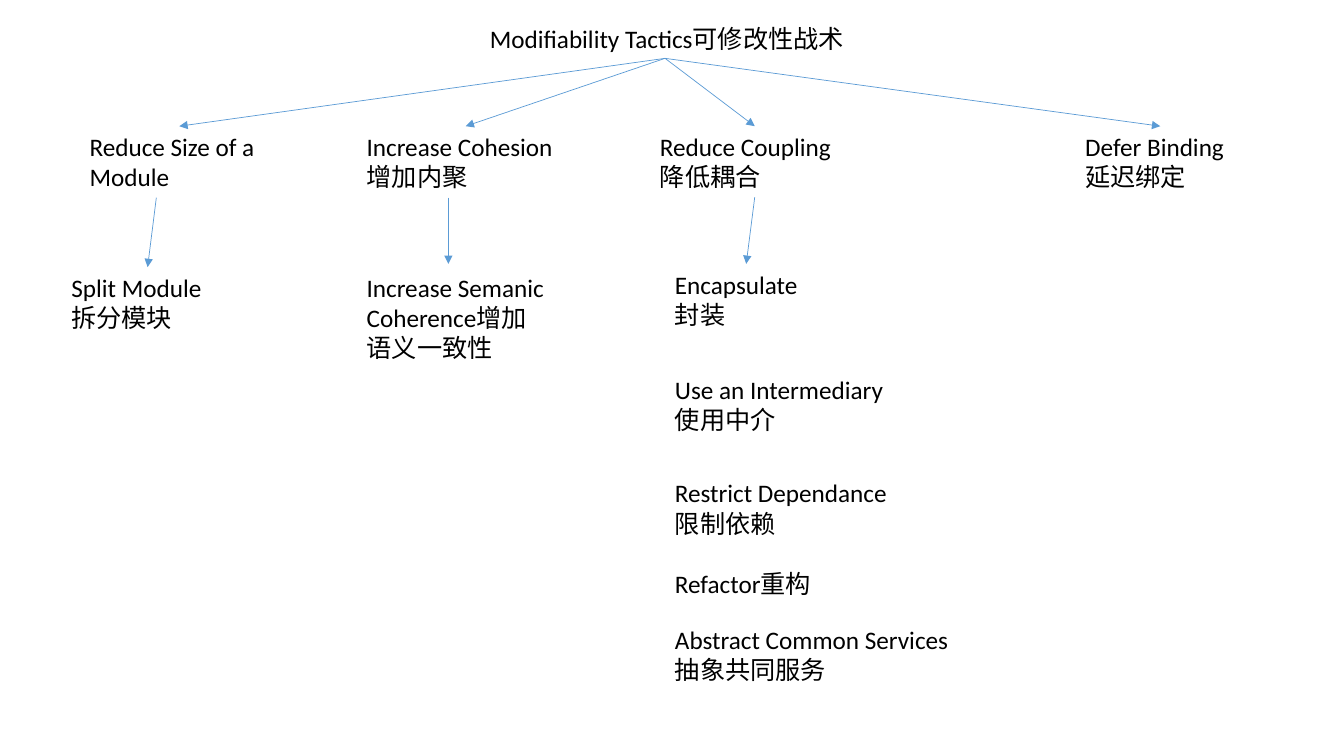
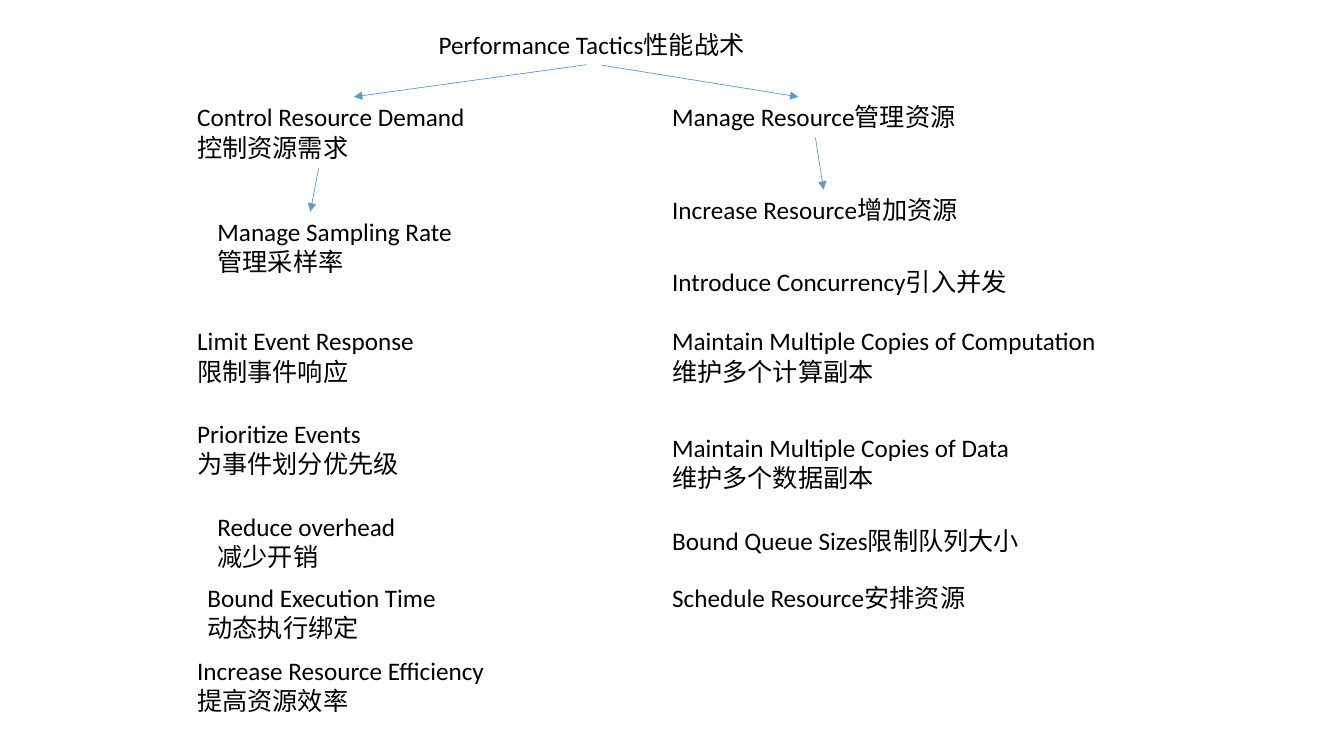
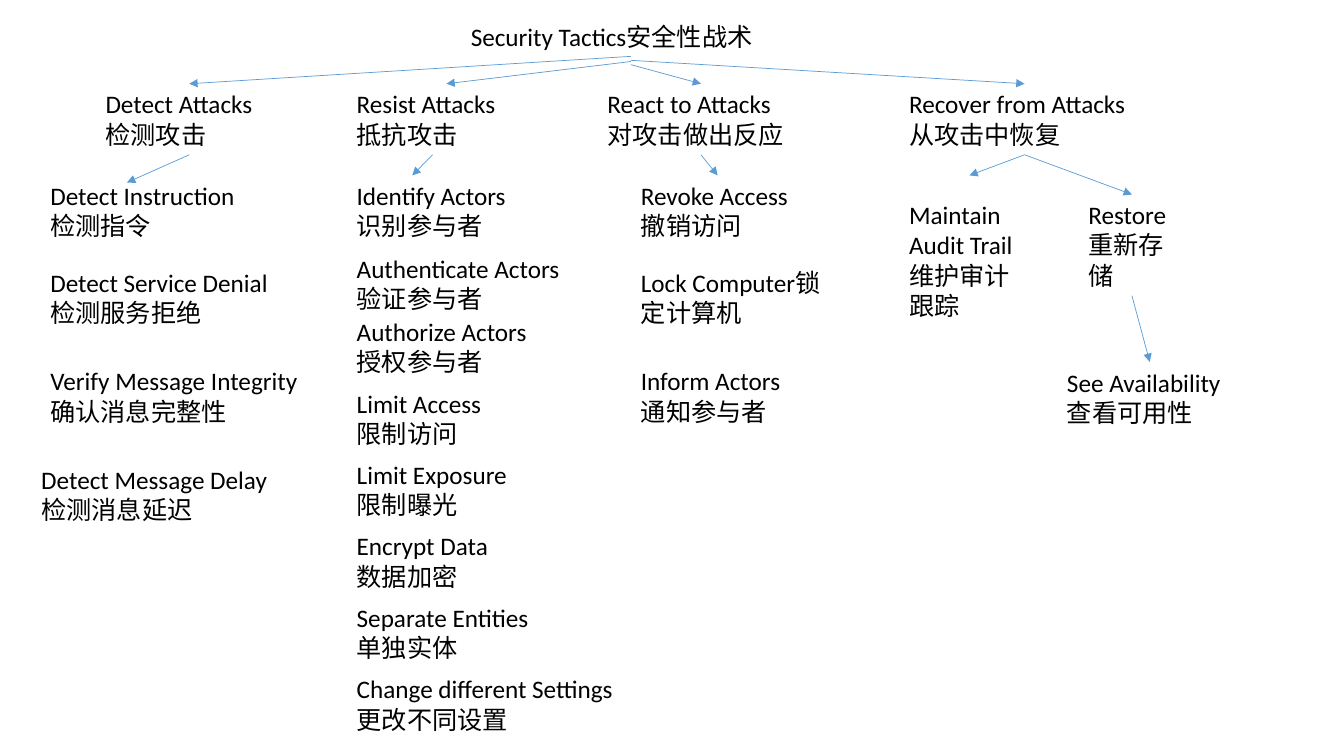
from dataclasses import dataclass

from lxml.etree import SubElement
from pptx import Presentation
from pptx.dml.color import RGBColor
from pptx.enum.shapes import MSO_CONNECTOR
from pptx.enum.text import MSO_ANCHOR, MSO_AUTO_SIZE, PP_ALIGN
from pptx.oxml.ns import qn
from pptx.util import Cm, Pt


@dataclass(frozen=True)
class Theme:
    font: str = "Calibri"
    size: Pt = Pt(18)
    ink: RGBColor = RGBColor(0x00, 0x00, 0x00)
    line: RGBColor = RGBColor(0x5B, 0x9B, 0xD5)
    weight: Pt = Pt(0.5)


theme = Theme()


def write(box, place, rows, text):
    """Place a box sized for a number of text rows and fill it."""
    left, top, width = place
    box.left, box.top, box.width = Cm(left), Cm(top), Cm(width)
    box.height = Cm(0.27 + 0.76 * rows)
    frame = box.text_frame
    frame.word_wrap = True
    frame.auto_size = MSO_AUTO_SIZE.NONE
    frame.vertical_anchor = MSO_ANCHOR.TOP
    para = frame.paragraphs[0]
    para.alignment = PP_ALIGN.LEFT
    para.line_spacing = 1.0
    para.space_before = Pt(0)
    for i, part in enumerate(text.split("\n")):
        if i:
            para.add_line_break()
        run = para.add_run()
        run.text = part
        run.font.name = theme.font
        run.font.size = theme.size
        run.font.color.rgb = theme.ink


def link(slide, boxes, start, end):
    """Draw an arrow; each end is a box name or a point in cm."""
    points = [(0, 0) if isinstance(e, str) else e for e in (start, end)]
    arrow = slide.shapes.add_connector(
        MSO_CONNECTOR.STRAIGHT, *[Cm(v) for point in points for v in point])
    if isinstance(start, str):
        arrow.begin_connect(boxes[start], 2)
    if isinstance(end, str):
        arrow.end_connect(boxes[end], 0)
    arrow.line.color.rgb = theme.line
    arrow.line.width = theme.weight
    SubElement(arrow.line._get_or_add_ln(), qn("a:tailEnd"), type="triangle")
    SubElement(arrow._element.spPr, qn("a:effectLst"))


# Title: left, top, width, text. Column: left, then top, width, rows, two-language text.
modify = {
    "title": (12.09, 0.46, 11.1, "Modifiability Tactics", "可修改性战术"),
    "columns": [
        (2.01, [(3.18, 5.18, 2, "Reduce Size of a Module", "")]),
        (1.55, [(6.73, 4.34, 2, "Split Module", "拆分模块")]),
        (8.99, [(3.18, 5.49, 2, "Increase Cohesion", "增加内聚"),
                (6.73, 5, 3, "Increase Semanic Coherence", "增加语义一致性")]),
        (16.38, [(3.18, 5.28, 2, "Reduce Coupling", "降低耦合")]),
        (16.76, [(6.65, 4.09, 2, "Encapsulate", "封装"),
                 (9.3, 5.94, 2, "Use an Intermediary", " 使用中介"),
                 (11.91, 6.45, 2, "Restrict Dependance", "限制依赖"),
                 (14.2, 5.94, 1, "Refactor", "重构"),
                 (15.6, 7.49, 2, "Abstract Common Services", "抽象共同服务")]),
        (27.1, [(3.18, 4.62, 2, "Defer Binding", "延迟绑定")]),
    ],
    "arrows": [
        *[((16.76, 1.47), end) for end in
          ((4.52, 3.18), "Increase Cohesion", "Reduce Coupling", (29.24, 3.18))],
        ((3.94, 4.98), "Split Module"),
        ((11.3, 4.98), (11.3, 6.65)),
        ("Reduce Coupling", "Encapsulate"),
    ],
}

perform = {
    "title": (10.8, 0.61, 8.71, "Performance Tactics", "性能战术"),
    "columns": [
        (4.72, [(2.44, 7.57, 2, "Control Resource Demand", "控制资源需求"),
                (8.08, 6.07, 2, "Limit Event Response", "限制事件响应"),
                (10.41, 5.69, 2, "Prioritize Events", "\n为事件划分优先级"),
                (16.38, 8.08, 2, "Increase Resource Efficiency", "提高资源效率")]),
        (5.23, [(5.33, 6.58, 2, "Manage Sampling Rate", "管理采样率"),
                (12.75, 5.59, 2, "Reduce overhead", "减少开销")]),
        (4.98, [(14.55, 6.83, 2, "Bound Execution Time", "动态执行绑定")]),
        (16.69, [(2.44, 7.72, 1, "Manage Resource", "管理资源"),
                 (4.78, 8.13, 1, "Increase Resource", "增加资源"),
                 (6.58, 9.47, 1, "Introduce Concurrency", "引入并发"),
                 (8.08, 11.61, 2, "Maintain Multiple Copies of Computation",
                  "维护多个计算副本"),
                 (10.77, 9.47, 2, "Maintain Multiple Copies of Data",
                  "维护多个数据副本"),
                 (13.11, 9.47, 1, "Bound Queue Sizes", "限制队列大小"),
                 (14.55, 9.8, 1, "Schedule Resource", "安排资源")]),
    ],
    "arrows": [
        ((14.78, 1.63), (8.92, 2.44)),
        ("Performance Tactics", (20.12, 2.44)),
        ((8.03, 4.24), (7.82, 5.33)),
        ("Manage Resource", "Increase Resource"),
    ],
}

resist = [(5.03, "Authorize Actors", "授权参与者"),
          (3.84, "Limit Access", "限制访问"),
          (4.32, "Limit Exposure", "限制曝光"),
          (4.32, "Encrypt Data", "数据加密"),
          (5.03, "Separate Entities", "单独实体"),
          (7.14, "Change different Settings", "更改不同设置")]

secure = {
    "title": (11.61, 0.41, 11.05, "Security Tactics", "安全性战术"),
    "columns": [
        (2.41, [(2.11, 4.72, 2, "Detect Attacks", "检测攻击")]),
        (1.02, [(4.42, 5.38, 2, "Detect Instruction", "检测指令"),
                (6.6, 6.1, 2, "Detect Service Denial", "检测服务拒绝"),
                (9.09, 6.96, 2, "Verify Message Integrity", "确认消息完整性")]),
        (0.79, [(11.58, 6.5, 2, "Detect Message Delay", "检测消息延迟")]),
        (8.74, [(2.11, 4.32, 2, "Resist Attacks", "抵抗攻击"),
                (4.42, 4.32, 2, "Identify Actors", "识别参与者"),
                (6.25, 5.74, 2, "Authenticate Actors", "验证参与者"),
                *[(7.85 + 1.8 * i, width, 2, name, local)
                  for i, (width, name, local) in enumerate(resist)]]),
        (15.06, [(2.11, 5.21, 2, "React to Attacks", "对攻击做出反应")]),
        (15.9, [(4.42, 4.37, 2, "Revoke Access", "撤销访问"),
                (6.6, 5.03, 2, "Lock Computer", "锁定计算机"),
                (9.09, 4.37, 2, "Inform Actors", "通知参与者")]),
        (22.66, [(2.11, 6.32, 2, "Recover from Attacks", "从攻击中恢复"),
                 (4.9, 3.58, 4, "Maintain Audit Trail", "维护审计跟踪")]),
        (27.18, [(4.9, 2.69, 3, "Restore", "重新存储")]),
        (26.64, [(9.12, 4.67, 2, "See Availability", "查看可用性")]),
    ],
    "arrows": [
        ((15.9, 1.42), "Detect Attacks"),
        ((15.9, 1.55), (11.25, 2.11)),
        ((15.9, 1.63), "React to Attacks"),
        ((15.9, 1.52), "Recover from Attacks"),
        ("Detect Attacks", (3.2, 4.6)),
        ("Resist Attacks", (10.39, 4.42)),
        ("React to Attacks", "Revoke Access"),
        ("Recover from Attacks", (24.43, 4.42)),
        ("Recover from Attacks", "Restore"),
        ("Restore", "See Availability"),
    ],
}

deck = Presentation()
deck.slide_width, deck.slide_height = Cm(33.87), Cm(19.05)
layout = deck.slide_layouts.get_by_name("Title Only")

for tree in (modify, perform, secure):
    slide = deck.slides.add_slide(layout)
    *place, name, local = tree["title"]
    title = slide.shapes.title
    write(title, place, 1, name + local)
    boxes = {name: title}
    for left, items in tree["columns"]:
        for top, width, rows, name, local in items:
            box = slide.shapes.add_textbox(0, 0, 0, 0)
            write(box, (left, top, width), rows, name + local)
            boxes[name] = box
    for start, end in tree["arrows"]:
        link(slide, boxes, start, end)

deck.save("out.pptx")
